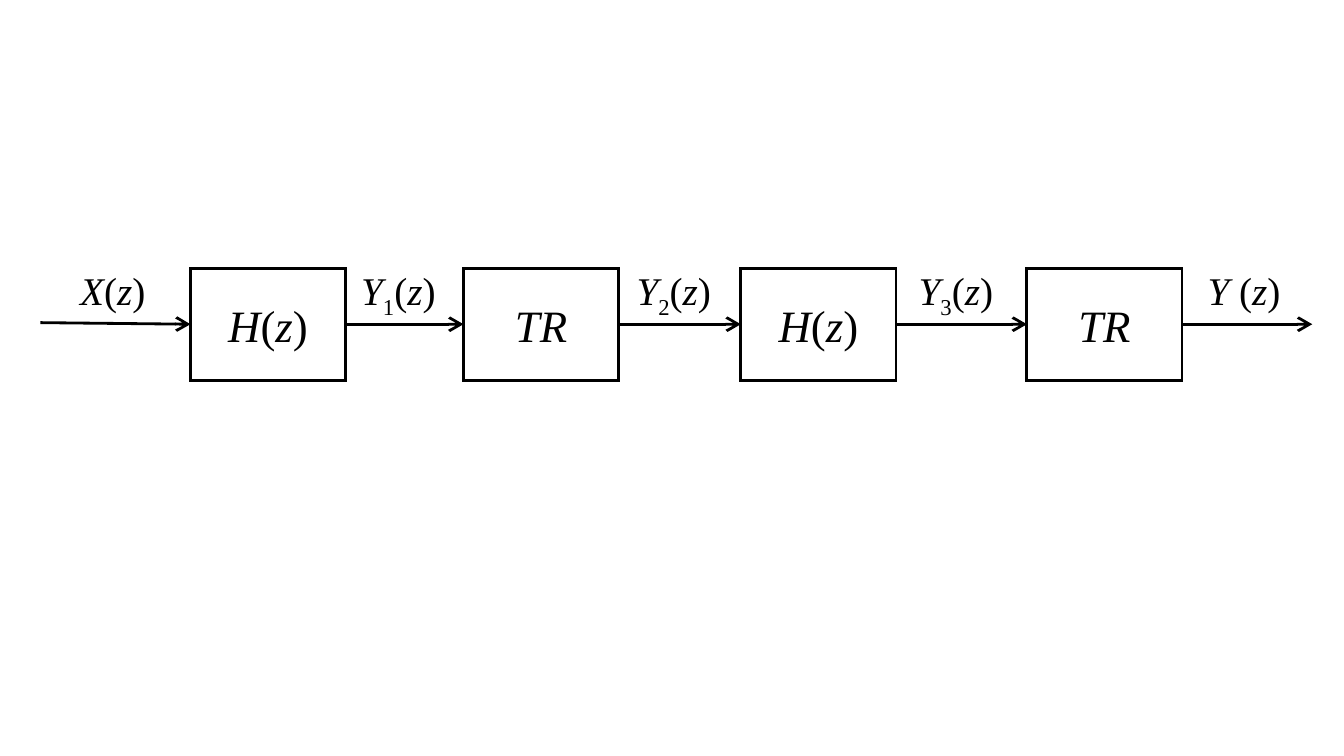
from lxml import etree
from pptx import Presentation
from pptx.dml.color import RGBColor
from pptx.enum.shapes import MSO_CONNECTOR, MSO_SHAPE
from pptx.enum.text import MSO_ANCHOR, MSO_AUTO_SIZE, PP_ALIGN
from pptx.oxml.ns import qn
from pptx.util import Cm, Pt

STRAIGHT = MSO_CONNECTOR.STRAIGHT
RECTANGLE = MSO_SHAPE.RECTANGLE
MIDDLE = MSO_ANCHOR.MIDDLE
CENTER = PP_ALIGN.CENTER
GROW = MSO_AUTO_SIZE.SHAPE_TO_FIT_TEXT

FONT = "Times New Roman"
BLACK = "000000"
LINE_WIDTH = Pt(2)
LEFT_SIDE, RIGHT_SIDE = 1, 3

# Lengths in centimetres
BOX_TOP, BOX_WIDTH, BOX_HEIGHT = 6.76, 3.91, 2.82
AXIS = BOX_TOP + BOX_HEIGHT / 2
LABEL_TOP, LABEL_HEIGHT = 6.58, 1.45
INPUT_START, INPUT_HEIGHT = 1.02, 8.13
OUTPUT_END = 33.07

# Left edge and formula parts of each stage
STAGES = [
    (4.8, ["H", "(", "z", ")"]),
    (11.68, ["TR"]),
    (18.67, ["H", "(", "z", ")"]),
    (25.88, ["TR"]),
]
# Left edge, width and formula parts of each signal
SIGNALS = [
    (1.75, 2.18, ["X", "(", "z", ")"]),
    (8.81, 2.46, ["Y", "1", "(", "z", ")"]),
    (15.75, 2.46, ["Y", "2", "(", "z", ")"]),
    (22.86, 2.46, ["Y", "3", "(", "z", ")"]),
    (30, 2.7, ["Y ", "(", "z", ")"]),
]


def color(hex_string):
    return RGBColor.from_string(hex_string)


def style_line(shape):
    """Give a black line with sharp corners and return its XML element."""
    shape.line.color.rgb = color(BLACK)
    shape.line.width = LINE_WIDTH
    outline = shape._element.spPr.find(qn("a:ln"))
    etree.SubElement(outline, qn("a:miter"), lim="800000")
    return outline


def write_formula(frame, parts, size):
    """Letters are italic, digits are subscripts, brackets are upright."""
    para = frame.paragraphs[0]
    para.alignment = CENTER
    for part in parts:
        span = para.add_run()
        span.text = part
        span.font.name = FONT
        span.font.size = Pt(size)
        span.font.italic = part.strip().isalpha()
        span.font.color.rgb = color(BLACK)
        if part.isdigit():
            span.font._element.set("baseline", "-25000")


def add_stage(page, left, parts):
    box = page.shapes.add_shape(
        RECTANGLE, Cm(left), Cm(BOX_TOP), Cm(BOX_WIDTH), Cm(BOX_HEIGHT))
    box.shadow.inherit = False
    box.fill.background()
    style_line(box)
    box.text_frame.vertical_anchor = MIDDLE
    write_formula(box.text_frame, parts, 32)
    return box


def add_signal(page, left, width, parts):
    label = page.shapes.add_textbox(
        Cm(left), Cm(LABEL_TOP), Cm(width), Cm(LABEL_HEIGHT))
    label.text_frame.word_wrap = False
    label.text_frame.auto_size = GROW
    write_formula(label.text_frame, parts, 28)


def add_arrow(page, source=None, target=None):
    """Draw an arrow between stages, or from the input or to the output."""
    start_height = AXIS if source else INPUT_HEIGHT
    arrow = page.shapes.add_connector(
        STRAIGHT, Cm(INPUT_START), Cm(start_height), Cm(OUTPUT_END), Cm(AXIS))
    if source:
        arrow.begin_connect(source, RIGHT_SIDE)
    if target:
        arrow.end_connect(target, LEFT_SIDE)
    # Large open arrowhead, no shadow
    outline = style_line(arrow)
    etree.SubElement(outline, qn("a:tailEnd"), type="arrow", w="lg", len="lg")
    etree.SubElement(arrow._element.spPr, qn("a:effectLst"))


def main():
    deck = Presentation()
    deck.slide_width, deck.slide_height = Cm(33.87), Cm(19.05)
    page = deck.slides.add_slide(deck.slide_layouts[6])

    # Chain of stages, with the input and output as open ends
    boxes = [add_stage(page, left, parts) for left, parts in STAGES]
    for source, target in zip([None] + boxes, boxes + [None]):
        add_arrow(page, source, target)

    # Signal names above the arrows
    for left, width, parts in SIGNALS:
        add_signal(page, left, width, parts)

    deck.save("out.pptx")


if __name__ == "__main__":
    main()
